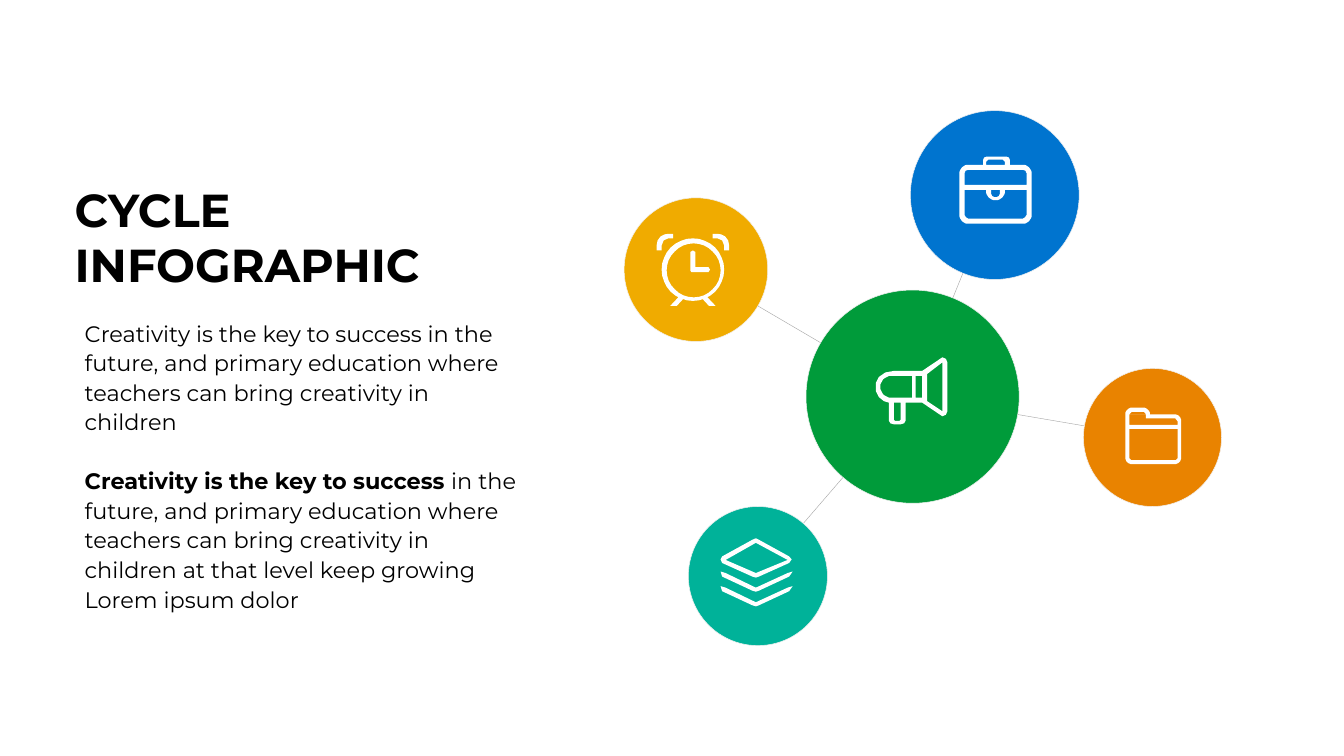
import math
from lxml import etree
from pptx import Presentation
from pptx import util as u
from pptx.dml.color import RGBColor
from pptx.enum import shapes, text
from pptx.oxml.ns import qn

PX = 9144  # EMU in one px, 100 px to the inch
FONT = "Montserrat"
COLORS = {
    "green": "009B3A", "orange": "E98300", "blue": "0074CF",
    "yellow": "F0AB00", "teal": "00B299", "black": "000000",
    "white": "FFFFFF", "rim": "F1F0F0", "spoke": "A6A6A6",
}
COLORS = {name: RGBColor.from_string(value) for name, value in COLORS.items()}


def rounded(left, top, right, bottom, radii):
    """Outline points of a box; radii run clockwise from the top left."""
    tl, tr, br, bl = radii
    corners = [(left + tl, top + tl, tl, 180), (right - tr, top + tr, tr, 270),
               (right - br, bottom - br, br, 0), (left + bl, bottom - bl, bl, 90)]
    points = []
    for x, y, radius, start in corners:
        for step in range(9 if radius else 1):
            angle = math.radians(start + step * 90 / 8)
            points.append((x + radius * math.cos(angle), y + radius * math.sin(angle)))
    return points


def draw_icon(page, contours):
    """Draw one white shape; a contour inside another cuts a hole."""
    builder = page.shapes.build_freeform(*contours[0][0], scale=PX)
    builder.add_line_segments(contours[0][1:], close=True)
    for contour in contours[1:]:
        builder.move_to(*contour[0])
        builder.add_line_segments(contour[1:], close=True)
    icon = builder.convert_to_shape()
    icon.shadow.inherit = False
    icon.fill.solid()
    icon.fill.fore_color.rgb = COLORS["white"]
    icon.line.fill.background()


deck = Presentation()
deck.slide_width, deck.slide_height = 2667 * PX, 1500 * PX
page = deck.slides.add_slide(deck.slide_layouts[5])

# Title
title = page.shapes.title
title.left, title.top, title.width, title.height = [n * PX for n in (138, 354, 1006, 232)]
frame = title.text_frame
frame.text = "CYCLE INFOGRAPHIC"
frame.word_wrap = True
frame.auto_size = text.MSO_AUTO_SIZE.NONE
frame.vertical_anchor = text.MSO_ANCHOR.TOP
paragraph = frame.paragraphs[0]
paragraph.alignment = text.PP_ALIGN.LEFT
paragraph.font.name = FONT
paragraph.font.size = u.Pt(66)
paragraph.font.bold = True
paragraph.font.color.rgb = COLORS["black"]

# Body: each paragraph is a list of (wording, bold)
body = [
    [("Creativity is the key to success in the future, and primary education "
      "where teachers can bring creativity in children", False)],
    [("Creativity is the key to success ", True),
     ("in the future, and primary education where teachers can bring creativity "
      "in children at that level keep growing Lorem ipsum dolor", False)],
]
box = page.shapes.add_textbox(*[n * PX for n in (148, 619, 912, 549)])
frame = box.text_frame
frame.word_wrap = True
frame.margin_left = frame.margin_right = 20 * PX
frame.margin_top = frame.margin_bottom = 10 * PX
for index, spans in enumerate(body):
    paragraph = frame.add_paragraph() if index else frame.paragraphs[0]
    paragraph.line_spacing = 1.1
    if index:
        paragraph.space_before = u.Pt(42)
    for wording, bold in spans:
        span = paragraph.add_run()
        span.text = wording
        span.font.name = FONT
        span.font.size = u.Pt(32)
        span.font.bold = bold
        span.font.color.rgb = COLORS["black"]

# Spokes run from each satellite's centre to the hub's, behind the circles
hub = ("green", 1811, 787, 423)
satellites = [("orange", 2287, 868, 274), ("blue", 1974, 387, 335),
              ("yellow", 1381, 535, 285), ("teal", 1504, 1143, 276)]
for color, x, y, size in satellites:
    spoke = page.shapes.add_connector(shapes.MSO_CONNECTOR.STRAIGHT,
                                      x * PX, y * PX, hub[1] * PX, hub[2] * PX)
    spoke.line.color.rgb = COLORS["spoke"]
    spoke.line.width = u.Pt(0.6)
    etree.SubElement(spoke._element.spPr, qn("a:effectLst"))

for color, x, y, size in [hub] + satellites:
    circle = page.shapes.add_shape(shapes.MSO_SHAPE.OVAL, round((x - size / 2) * PX),
                                   round((y - size / 2) * PX), size * PX, size * PX)
    circle.shadow.inherit = False
    circle.fill.solid()
    circle.fill.fore_color.rgb = COLORS[color]
    circle.line.color.rgb = COLORS["rim"]
    circle.line.width = u.Pt(0.75)

# Icons
megaphone = [
    [(1870, 709), (1830, 736), (1774, 736), (1757, 739), (1744, 748), (1738, 760),
     (1738, 776), (1744, 788), (1754, 796), (1764, 799), (1764, 835), (1767, 840),
     (1774, 842), (1787, 842), (1794, 840), (1797, 835), (1797, 799), (1830, 799),
     (1870, 826), (1877, 823), (1880, 816), (1880, 719), (1877, 712)],
    rounded(1774, 799, 1787, 835, (0, 0, 3, 3)),
    rounded(1747, 746, 1810, 789, (21, 0, 0, 21)),
    rounded(1817, 746, 1830, 789, (0, 0, 0, 0)),
    [(1870, 816), (1840, 796), (1840, 742), (1870, 719)],
]
briefcase = [
    rounded(1904, 327, 2047, 444, (18, 18, 18, 18)),
    rounded(1951, 311, 2004, 327, (7, 7, 0, 0)),
    rounded(1957, 317, 1994, 327, (6, 6, 0, 0)),
    rounded(1914, 337, 2037, 367, (8, 8, 0, 0)),
    rounded(1914, 377, 2037, 434, (0, 0, 9, 9)),
    rounded(1957, 377, 1994, 397, (0, 0, 18, 18)),
    rounded(1967, 377, 1984, 391, (0, 0, 8, 8)),
]
layers = [
    [(1430, 1110), (1433, 1104), (1493, 1071), (1500, 1068), (1506, 1071),
     (1566, 1104), (1571, 1110), (1566, 1117), (1506, 1144), (1500, 1146),
     (1493, 1144), (1433, 1117)],
    [(1440, 1111), (1500, 1077), (1563, 1111), (1500, 1137)],
]
for drop in (0, 29):
    layers.append([(x, y + drop) for x, y in [
        (1430, 1134), (1440, 1137), (1500, 1166), (1563, 1137), (1573, 1134),
        (1566, 1144), (1506, 1172), (1500, 1174), (1493, 1172), (1433, 1144)]])
folder = [
    rounded(2233, 809, 2282, 822, (13, 13, 0, 0)),
    rounded(2233, 822, 2344, 921, (0, 14, 14, 14)),
    [(2241, 822), (2246, 817), (2270, 817), (2274, 822), (2274, 830),
     (2332, 830), (2337, 836), (2337, 843), (2241, 843)],
    rounded(2241, 851, 2337, 913, (0, 0, 6, 6)),
]
clock = [
    rounded(1313, 473, 1437, 597, (62, 62, 62, 62)),
    rounded(1323, 483, 1430, 590, (53, 53, 53, 53)),
    [(1380, 530), (1406, 530), (1409, 535), (1406, 540), (1372, 540), (1370, 537),
     (1370, 500), (1375, 497), (1380, 500)],
]
bell = [(1303, 497), (1303, 487), (1305, 477), (1311, 469), (1319, 465), (1326, 464),
        (1336, 464), (1336, 473), (1326, 473), (1317, 477), (1313, 487), (1313, 497)]
leg = [(1346, 590), (1330, 607), (1343, 607), (1356, 593)]
for part in (bell, leg):
    clock += [part, [(2 * 1375 - x, y) for x, y in part]]

for contours in (megaphone, briefcase, layers, folder, clock):
    draw_icon(page, contours)

deck.save("out.pptx")
